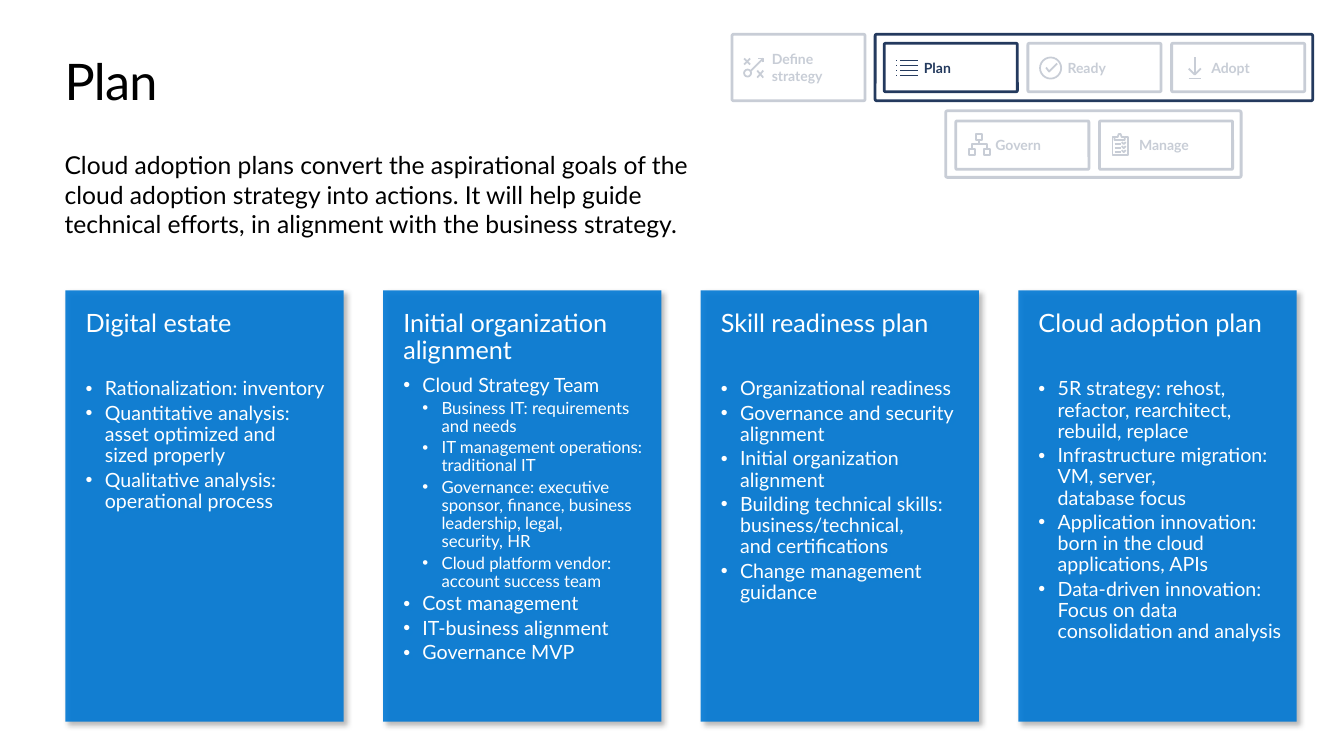
"""Build the Plan slide: a stage map, an introduction and four cards."""
import copy
from lxml import etree
from pptx import Presentation, util as u
from pptx.dml.color import RGBColor
from pptx.enum import shapes, text
from pptx.oxml.ns import qn

NAVY = RGBColor(0x24, 0x3A, 0x5E)
BLUE = RGBColor(0x00, 0x78, 0xD4)
WHITE = RGBColor(0xFF, 0xFF, 0xFF)
BLACK = RGBColor(0x00, 0x00, 0x00)
KIND = shapes.MSO_SHAPE

deck = Presentation()
deck.slide_width, deck.slide_height = u.Inches(13.33), u.Inches(7.5)
page = deck.slides.add_slide(deck.slide_layouts[6])


def draw(kind, place, fill=None, line=None, width=2, opacity=100):
    """Add a preset shape at place, given in inches."""
    shape = page.shapes.add_shape(kind, *[u.Inches(n) for n in place])
    shape.shadow.inherit = False
    if kind == KIND.ROUNDED_RECTANGLE:
        shape.adjustments[0] = 0.025
    if fill is None:
        shape.fill.background()
    else:
        shape.fill.solid()
        shape.fill.fore_color.rgb = fill
        color = next(shape._element.spPr.iter(qn("a:srgbClr")))
        etree.SubElement(color, qn("a:alpha")).set("val", str(opacity * 1000))
    if line is None:
        shape.line.fill.background()
    else:
        shape.line.color.rgb = line
        shape.line.width = u.Pt(width)
    return shape


def write(box, content, size, color, bold=False, level=0, after=0, spacing=1.0,
          margins=(0, 0, 0, 0), anchor=text.MSO_ANCHOR.TOP, tracking=0):
    """Append one formatted paragraph to box; level 1 and up is bulleted."""
    frame = box.text_frame
    frame.word_wrap = True
    frame.vertical_anchor = anchor
    (frame.margin_left, frame.margin_top,
     frame.margin_right, frame.margin_bottom) = [u.Inches(n) for n in margins]
    para = frame.add_paragraph() if frame.text else frame.paragraphs[0]
    para.text = content
    para.alignment = text.PP_ALIGN.LEFT
    para.line_spacing = spacing
    para.space_after = u.Pt(after)
    if level:
        para.level = level
        props = para._p.get_or_add_pPr()
        props.set("marL", str(u.Inches(0.19 * level)))
        props.set("indent", str(-u.Inches(0.19)))
        etree.SubElement(props, qn("a:buFont")).set("typeface", "Arial")
        etree.SubElement(props, qn("a:buChar")).set("char", "•")
    for span in para.runs:
        span.font.name = "Lato"
        span.font.size = u.Pt(size)
        span.font.bold = bold
        span.font.color.rgb = color
        span.font._element.set("spc", str(tracking))
    for line_break in para._p.findall(qn("a:br")):
        line_break.append(copy.deepcopy(para.runs[0].font._element))


title = page.shapes.add_textbox(*[u.Inches(n) for n in (0.64, 0.5, 6, 0.61)])
write(title, "Plan", 36, BLACK, tracking=-50)
intro = page.shapes.add_textbox(*[u.Inches(n) for n in (0.64, 1.44, 6.67, 0.99)])
write(intro, "Cloud adoption plans convert the aspirational goals of the cloud "
      "adoption strategy into actions. It will help guide technical efforts, in "
      "alignment with the business strategy.", 17.6, BLACK,
      margins=(0, 0.05, 0.1, 0.05))

for frame_place in [(8.68, 0.34, 4.34, 0.66), (9.38, 1.1, 2.93, 0.66)]:
    draw(KIND.ROUNDED_RECTANGLE, frame_place, line=NAVY)

list_icon = [stroke for y in (17, 22, 27, 32)
             for stroke in ([(16, y), (33, y)], [(12, y), (13, y)])]
strategy_icon = [[(18, 30), (12, 24)], [(18, 24), (12, 30)],
                 [(31, 43), (25, 36)], [(31, 36), (25, 43)],
                 [(18, 37), (31, 24)], [(31, 28), (31, 24), (26, 24)]]
check_icon = [[(18, 24), (21, 28), (29, 20)]]
arrow_icon = [[(29, 25), (23, 31), (17, 25)], [(23, 31), (23, 14)],
              [(17, 35), (29, 35)]]
chart_icon = [[(x, y), (x + 6, y), (x + 6, y + 6), (x, y + 6), (x, y)]
              for x, y in ((13, 28), (28, 28), (20, 13))]
chart_icon += [[(23, 19), (23, 23)], [(31, 28), (31, 23), (16, 23), (16, 28)]]
clipboard_icon = [[(15, 16), (13, 16), (13, 34), (28, 34), (28, 16), (25, 16)],
                  [(18, 16), (19, 13), (21, 13), (22, 16), (25, 16), (25, 19),
                   (15, 19), (15, 16), (18, 16)]]
for y in (23, 27, 31):
    clipboard_icon += [[(15, y), (21, y)], [(22, y - 2), (24, y), (26, y - 2)]]

PITCH = 1.425
stages = [
    ("Define strategy", 7.26, 0.34, 0.66, strategy_icon, (0.12, 0.35, 0.07)),
    ("Plan", 8.77, 0.43, 0.48, list_icon, None),
    ("Ready", 8.77 + PITCH, 0.43, 0.48, check_icon, (0.12, 0.14, 0.21)),
    ("Adopt", 8.77 + 2 * PITCH, 0.43, 0.48, arrow_icon, None),
    ("Govern", 9.48, 1.2, 0.48, chart_icon, None),
    ("Manage", 9.48 + PITCH, 1.2, 0.48, clipboard_icon, None),
]
for name, left, top, height, strokes, ring in stages:
    stage = draw(KIND.ROUNDED_RECTANGLE, (left, top, 1.32, height), WHITE, NAVY)
    write(stage, name, 10, NAVY, bold=True, margins=(0.39, 0, 0.1, 0),
          anchor=text.MSO_ANCHOR.MIDDLE)
    if ring:
        x, y, diameter = ring
        draw(KIND.OVAL, (left + x, top + y, diameter, diameter),
             line=NAVY, width=1.25)
    builder = page.shapes.build_freeform(*strokes[0][0], scale=u.Inches(0.01))
    for stroke in strokes:
        builder.move_to(*stroke[0])
        builder.add_line_segments(stroke[1:], close=False)
    icon = builder.convert_to_shape(u.Inches(left), u.Inches(top))
    icon.shadow.inherit = False
    icon.fill.background()
    icon.line.color.rgb = NAVY
    icon.line.width = u.Pt(1.25)

for veil_place in [(10.15, 0.37, 2.84, 0.58), (9.31, 1.04, 3.1, 0.81),
                   (7.18, 0.26, 1.45, 0.81)]:
    draw(KIND.RECTANGLE, veil_place, WHITE, opacity=75)

cards = [
    ("Digital estate", 29.5, [
        (1, "Rationalization: inventory"),
        (1, "Quantitative analysis:\nasset optimized and\nsized properly"),
        (1, "Qualitative analysis: operational process")]),
    ("Initial organization alignment", 7.5, [
        (1, "Cloud Strategy Team"),
        (2, "Business IT: requirements\nand needs"),
        (2, "IT management operations: traditional IT"),
        (2, "Governance: executive\nsponsor, finance, business leadership, "
            "legal,\nsecurity, HR"),
        (2, "Cloud platform vendor: account success team"),
        (1, "Cost management"),
        (1, "IT-business alignment"),
        (1, "Governance MVP")]),
    ("Skill readiness plan", 29.5, [
        (1, "Organizational readiness"),
        (1, "Governance and security alignment"),
        (1, "Initial organization alignment"),
        (1, "Building technical skills: business/technical,\nand certifications"),
        (1, "Change management guidance")]),
    ("Cloud adoption plan", 29.5, [
        (1, "5R strategy: rehost, refactor, rearchitect, rebuild, replace"),
        (1, "Infrastructure migration: VM, server,\ndatabase focus"),
        (1, "Application innovation: born in the cloud applications, APIs"),
        (1, "Data-driven innovation: Focus on data consolidation and analysis")]),
]
card_style = {"color": WHITE, "spacing": 0.9, "margins": (0.2, 0.2, 0.1, 0)}
for column, (heading, gap, points) in enumerate(cards):
    card = draw(KIND.RECTANGLE, (0.65 + 3.15 * column, 2.88, 2.76, 4.28),
                BLUE, opacity=90)
    effects = card._element.spPr.find(qn("a:effectLst"))
    shadow = etree.SubElement(effects, qn("a:outerShdw"), blurRad=str(u.Pt(4)),
                              dist=str(u.Pt(3)), dir="2700000", algn="tl")
    tint = etree.SubElement(shadow, qn("a:srgbClr"), val="000000")
    etree.SubElement(tint, qn("a:alpha"), val="30000")
    write(card, heading, 18, after=gap, **card_style)
    for level, point in points:
        write(card, point, 16 - 2 * level, level=level, after=2.3, **card_style)

deck.save("out.pptx")
